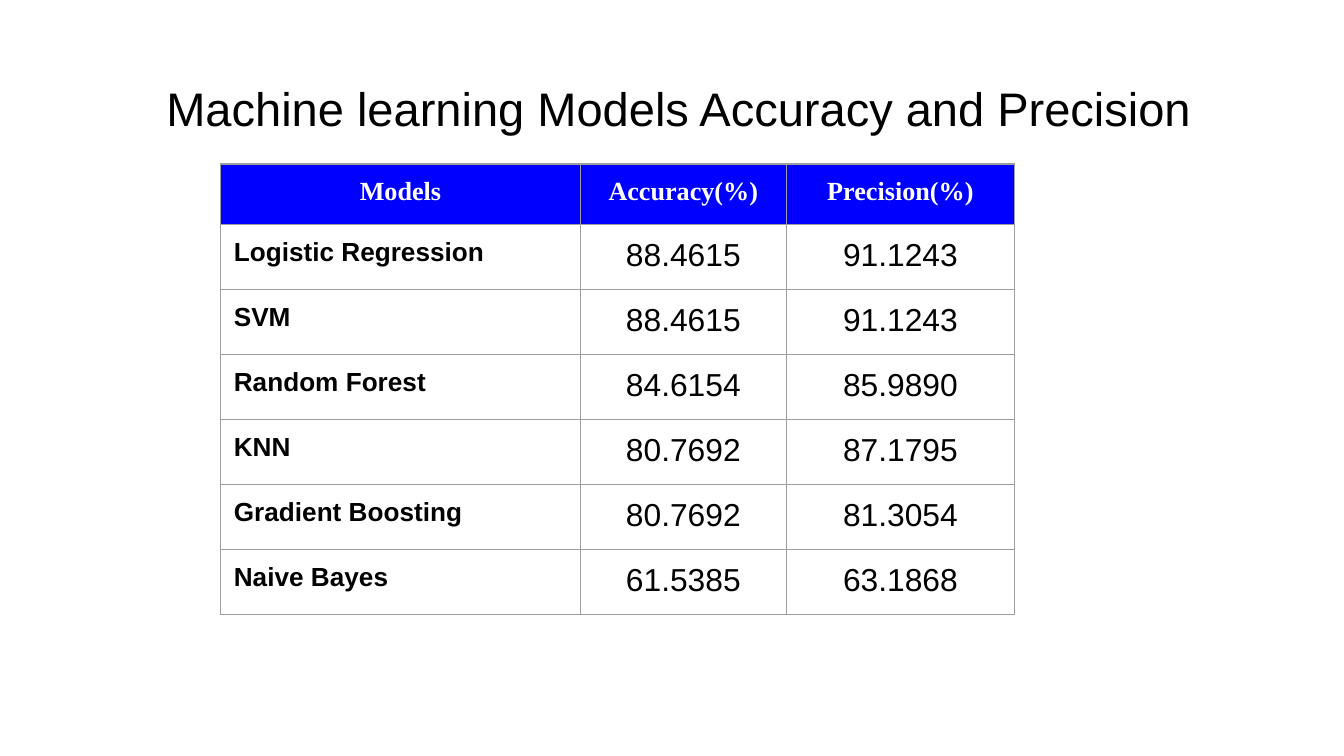
from dataclasses import dataclass
from typing import Optional

from lxml.etree import SubElement
from pptx import Presentation
from pptx.dml.color import RGBColor
from pptx.enum.text import MSO_ANCHOR, PP_ALIGN
from pptx.oxml.ns import qn
from pptx.util import Inches, Pt

WHITE = RGBColor(0xFF, 0xFF, 0xFF)
BLACK = RGBColor(0x00, 0x00, 0x00)
BLUE = RGBColor(0x00, 0x00, 0xFF)
GRID_GREY = RGBColor(0x9E, 0x9E, 0x9E)

PADDING = Inches(0.1)
COLUMN_WIDTHS = (2.68, 1.53, 1.70)
ROW_HEIGHT = 0.45


@dataclass(frozen=True)
class TextStyle:
    size: float
    font: str = "Arial"
    color: RGBColor = BLACK
    bold: bool = False
    align: PP_ALIGN = PP_ALIGN.CENTER
    fill: Optional[RGBColor] = None


TITLE = TextStyle(25.2)
HEADER = TextStyle(14, "Times New Roman", WHITE, bold=True, fill=BLUE)
MODEL = TextStyle(14, bold=True, align=PP_ALIGN.LEFT)
SCORE = TextStyle(17)

HEADINGS = ("Models", "Accuracy(%)", "Precision(%)")
RESULTS = (
    ("Logistic Regression", "88.4615", "91.1243"),
    ("SVM", "88.4615", "91.1243"),
    ("Random Forest", "84.6154", "85.9890"),
    ("KNN", "80.7692", "87.1795"),
    ("Gradient Boosting", "80.7692", "81.3054"),
    ("Naive Bayes", "61.5385", "63.1868"),
)


def write_text(holder, text: str, style: TextStyle) -> None:
    """Fill a text frame or table cell, with equal padding on every side."""
    holder.margin_left = holder.margin_right = PADDING
    holder.margin_top = holder.margin_bottom = PADDING
    frame = getattr(holder, "text_frame", holder)
    frame.text = text
    paragraph = frame.paragraphs[0]
    paragraph.alignment = style.align
    font = paragraph.font
    font.name, font.size, font.bold = style.font, Pt(style.size), style.bold
    font.color.rgb = style.color
    # The paragraph mark takes the text size, so that it adds no row height
    SubElement(paragraph._p, qn("a:endParaRPr"), sz=str(round(style.size * 100)))


def add_borders(cell, color: RGBColor, width: float) -> None:
    properties = cell._tc.get_or_add_tcPr()
    for side in ("a:lnL", "a:lnR", "a:lnT", "a:lnB"):
        line = SubElement(properties, qn(side), w=str(Pt(width)))
        fill = SubElement(line, qn("a:solidFill"))
        SubElement(fill, qn("a:srgbClr"), val=str(color))


def draw_cell(cell, text: str, style: TextStyle) -> None:
    write_text(cell, text, style)
    cell.vertical_anchor = MSO_ANCHOR.TOP
    add_borders(cell, GRID_GREY, 0.75)
    if style.fill is None:
        cell.fill.background()
    else:
        cell.fill.solid()
        cell.fill.fore_color.rgb = style.fill


def add_title(page, deck, text: str) -> None:
    width, height = deck.slide_width, deck.slide_height
    box = page.shapes.add_textbox(
        int(width * 0.039), int(height * 0.086), int(width * 0.932), int(height * 0.112)
    )
    box.text_frame.word_wrap = True
    box.text_frame.vertical_anchor = MSO_ANCHOR.MIDDLE
    write_text(box.text_frame, text, TITLE)


def add_results_table(page, deck) -> None:
    rows = (HEADINGS, *RESULTS)
    table = page.shapes.add_table(
        len(rows), len(COLUMN_WIDTHS),
        int(deck.slide_width * 0.164), int(deck.slide_height * 0.217),
        Inches(sum(COLUMN_WIDTHS)), Inches(ROW_HEIGHT * len(rows)),
    ).table
    table.first_row = table.horz_banding = False
    for column, width in zip(table.columns, COLUMN_WIDTHS):
        column.width = Inches(width)
    for row_index, values in enumerate(rows):
        table.rows[row_index].height = Inches(ROW_HEIGHT)
        styles = (MODEL, SCORE, SCORE) if row_index else (HEADER,) * 3
        for column_index, (text, style) in enumerate(zip(values, styles)):
            draw_cell(table.cell(row_index, column_index), text, style)


def main() -> None:
    deck = Presentation()
    deck.slide_width = Inches(10)
    deck.slide_height = deck.slide_width * 9 // 16
    page = deck.slides.add_slide(deck.slide_layouts[6])

    # Heading above the comparison of models
    add_title(page, deck, "Machine learning Models Accuracy and Precision")
    add_results_table(page, deck)

    deck.save("out.pptx")


if __name__ == "__main__":
    main()
